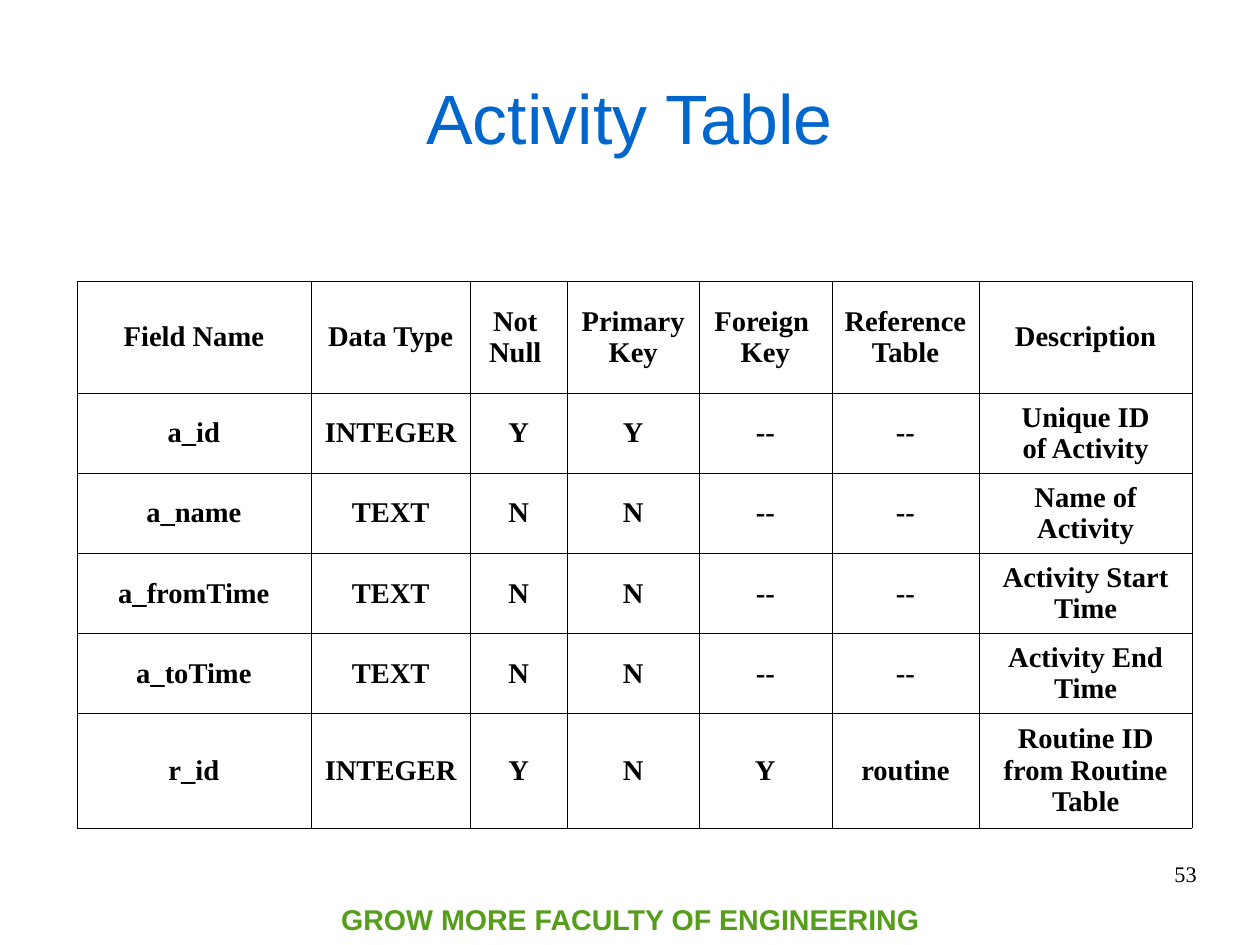
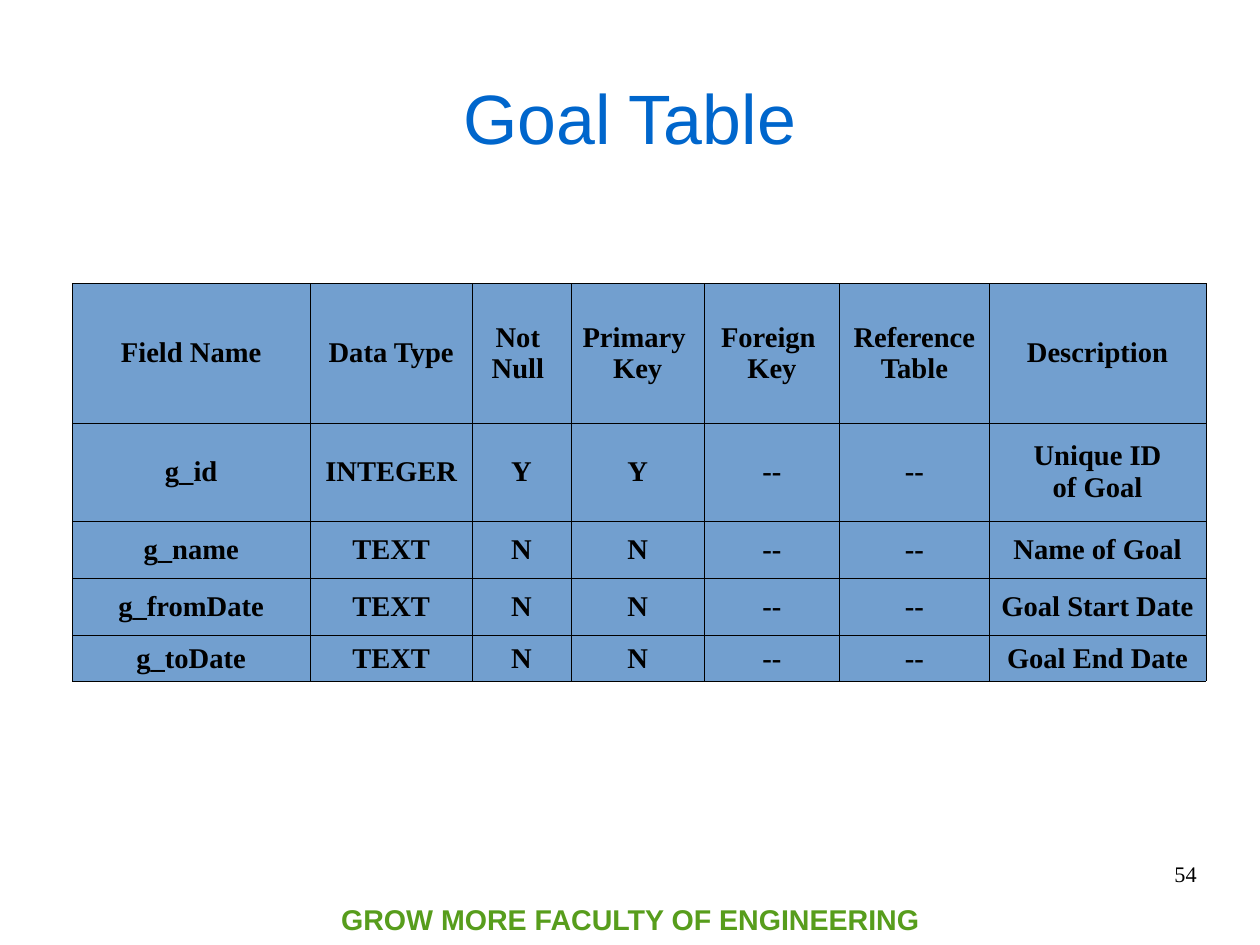
from dataclasses import dataclass

from lxml.etree import SubElement
from pptx import Presentation
from pptx.dml.color import RGBColor
from pptx.enum.text import MSO_ANCHOR as ANCHOR, MSO_AUTO_SIZE as AUTO, PP_ALIGN as ALIGN
from pptx.oxml.ns import qn
from pptx.util import Inches, Pt

# Slide of 28 by 21 cm
CM_PER_INCH = 2.54
SLIDE_WIDTH, SLIDE_HEIGHT = Inches(28 / CM_PER_INCH), Inches(21 / CM_PER_INCH)

# Shared look
BLACK = RGBColor(0x00, 0x00, 0x00)
WHITE = RGBColor(0xFF, 0xFF, 0xFF)
TITLE_BLUE = RGBColor(0x00, 0x66, 0xCC)
CELL_BLUE = RGBColor(0x72, 0x9F, 0xCF)
FOOTER_GREEN = RGBColor(0x57, 0x9D, 0x1C)
SANS, SERIF = "Arial", "Times New Roman"
FOOTER = "GROW MORE FACULTY OF ENGINEERING"
BORDER = Pt(0.06)

# Relative column widths and header labels of every schema table
COLUMNS = (2.05, 1.39, 0.85, 1.15, 1.16, 1.29, 1.86)
HEADER = ("Field Name", "Data Type", "Not \nNull ", "Primary \nKey",
          "Foreign \nKey", "Reference\nTable", "Description")


@dataclass(frozen=True)
class Field:
    name: str
    data_type: str
    not_null: str
    primary: str
    description: str
    foreign: str = "--"
    reference: str = "--"

    def cells(self) -> tuple[str, ...]:
        return (self.name, self.data_type, self.not_null, self.primary,
                self.foreign, self.reference, self.description)


@dataclass(frozen=True)
class SchemaSlide:
    title: str
    number: int
    left: float
    top: float
    width: float
    row_heights: tuple[float, ...]
    fill: RGBColor
    fields: tuple[Field, ...]


SLIDES = (
    SchemaSlide("Activity Table", 53, 0.67, 2.46, 9.76,
                (0.98, 0.7, 0.7, 0.7, 0.7, 1.0), WHITE, (
                    Field("a_id", "INTEGER", "Y", "Y", "Unique ID\nof Activity"),
                    Field("a_name", "TEXT", "N", "N", "Name of Activity"),
                    Field("a_fromTime", "TEXT", "N", "N", "Activity Start Time"),
                    Field("a_toTime", "TEXT", "N", "N", "Activity End Time"),
                    Field("r_id", "INTEGER", "Y", "N", "Routine ID from Routine Table",
                          foreign="Y", reference="routine"),
                )),
    SchemaSlide("Goal Table", 54, 0.63, 2.48, 9.92,
                (1.22, 0.86, 0.5, 0.5, 0.39), CELL_BLUE, (
                    Field("g_id", "INTEGER", "Y", "Y", "Unique ID\nof Goal"),
                    Field("g_name", "TEXT", "N", "N", "Name of Goal"),
                    Field("g_fromDate", "TEXT", "N", "N", "Goal Start Date"),
                    Field("g_toDate", "TEXT", "N", "N", "Goal End Date"),
                )),
)


def write_text(tf, text: str, *, size: float, font: str, color: RGBColor,
               bold: bool = False, align=ALIGN.CENTER) -> None:
    """Fill a text frame, one paragraph per line of text."""
    tf.word_wrap = True
    tf.text = text
    for p in tf.paragraphs:
        p.alignment = align
        for r in p.runs:
            r.font.size, r.font.name, r.font.bold = Pt(size), font, bold
            r.font.color.rgb = color


def clear_margins(tf) -> None:
    tf.margin_left = tf.margin_right = tf.margin_top = tf.margin_bottom = 0


def add_title(s, text: str) -> None:
    sp = s.shapes.title
    sp.left, sp.top, sp.width, sp.height = map(Inches, (0.55, 0.33, 9.92, 1.38))
    tf = sp.text_frame
    clear_margins(tf)
    tf.vertical_anchor = ANCHOR.MIDDLE
    write_text(tf, text, size=44, font=SANS, color=TITLE_BLUE)
    tf.auto_size = AUTO.SHAPE_TO_FIT_TEXT


def add_footer(s, number: int) -> None:
    band = s.shapes.add_textbox(*map(Inches, (2.39, 7.83, 6.25, 0.43))).text_frame
    band.vertical_anchor = ANCHOR.MIDDLE
    write_text(band, FOOTER, size=18, font=SANS, color=FOOTER_GREEN, bold=True)
    page = s.shapes.add_textbox(*map(Inches, (7.9, 7.53, 2.57, 0.57))).text_frame
    clear_margins(page)
    write_text(page, str(number), size=14, font=SERIF, color=BLACK, align=ALIGN.RIGHT)


def add_borders(cell) -> None:
    props = cell._tc.get_or_add_tcPr()
    for side in ("a:lnL", "a:lnR", "a:lnT", "a:lnB"):
        line = SubElement(props, qn(side), w=str(BORDER))
        SubElement(SubElement(line, qn("a:solidFill")), qn("a:srgbClr"), val=str(BLACK))


def add_schema_table(s, schema: SchemaSlide) -> None:
    rows = [HEADER, *(field.cells() for field in schema.fields)]
    box = (schema.left, schema.top, schema.width, sum(schema.row_heights))
    table = s.shapes.add_table(len(rows), len(COLUMNS), *map(Inches, box)).table
    table.first_row = table.horz_banding = False
    for column, share in zip(table.columns, COLUMNS):
        column.width = Inches(schema.width * share / sum(COLUMNS))
    for row, height, texts in zip(table.rows, schema.row_heights, rows):
        row.height = Inches(height)
        for cell, text in zip(row.cells, texts):
            add_borders(cell)
            cell.fill.solid()
            cell.fill.fore_color.rgb = schema.fill
            cell.vertical_anchor = ANCHOR.MIDDLE
            write_text(cell.text_frame, text, size=18, font=SERIF, color=BLACK, bold=True)


def main() -> None:
    prs = Presentation()
    prs.slide_width, prs.slide_height = SLIDE_WIDTH, SLIDE_HEIGHT
    title_only = prs.slide_layouts[5]
    for schema in SLIDES:
        s = prs.slides.add_slide(title_only)
        add_title(s, schema.title)
        add_schema_table(s, schema)
        add_footer(s, schema.number)
    prs.save("out.pptx")


if __name__ == "__main__":
    main()
